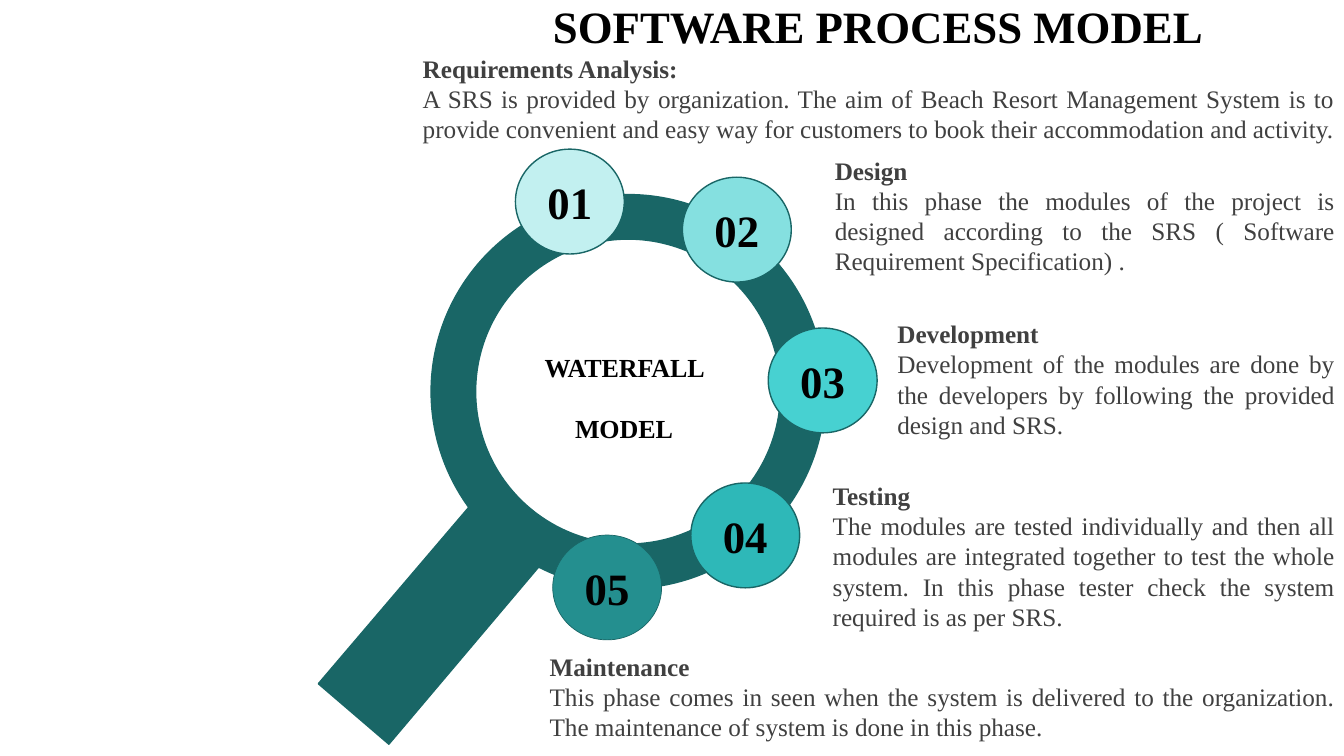
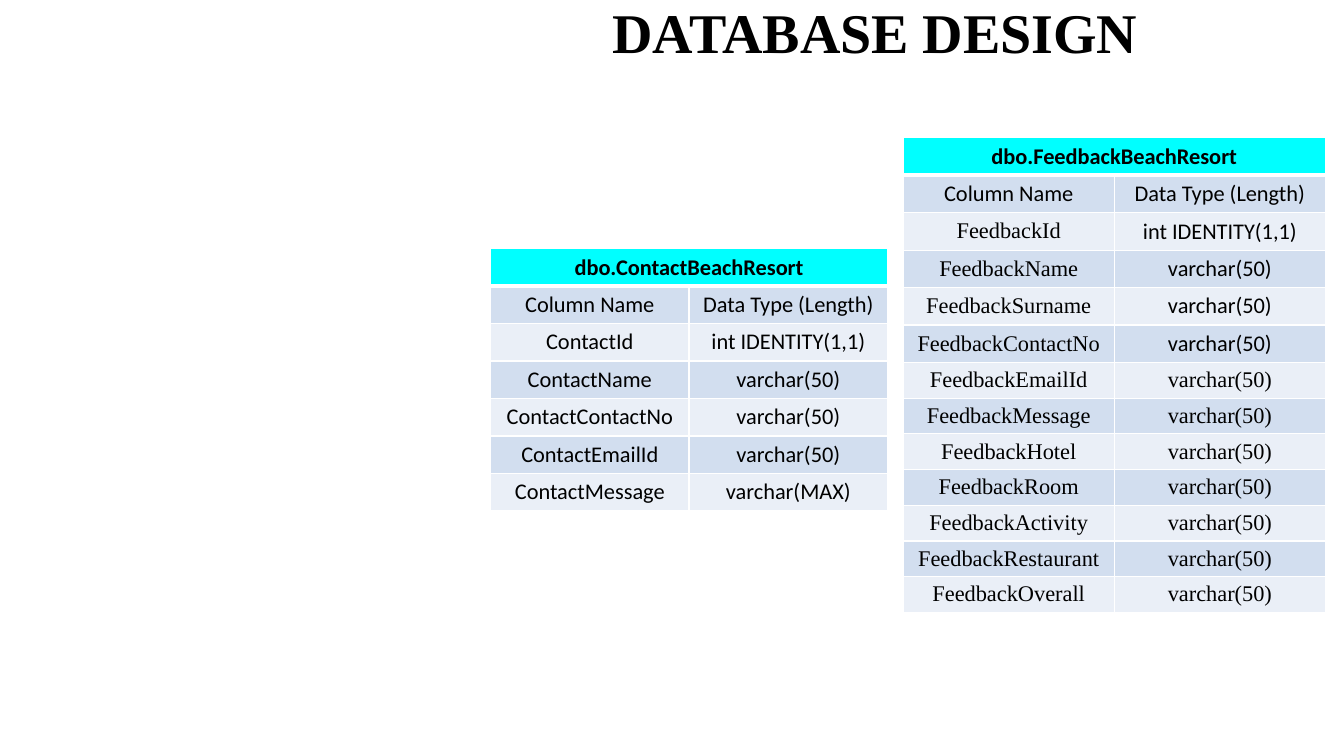
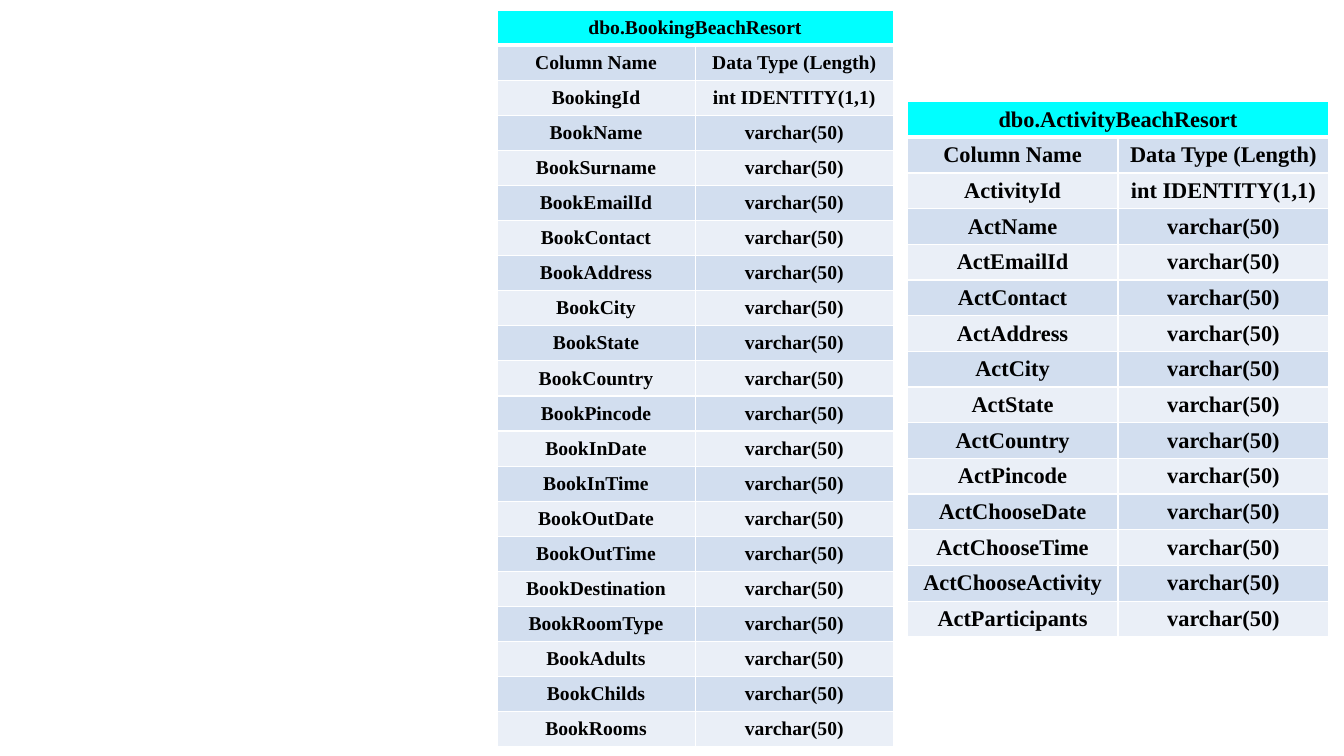
"""Build three slides on a resort system: its process model and its database tables."""
from dataclasses import dataclass
from math import cos, radians, sin

from lxml import etree
from pptx import Presentation
from pptx.dml.color import RGBColor
from pptx.enum.shapes import MSO_SHAPE
from pptx.enum.text import MSO_ANCHOR, MSO_AUTO_SIZE, PP_ALIGN
from pptx.oxml.ns import qn
from pptx.util import Emu, Pt

OVAL = MSO_SHAPE.OVAL
CONNECTOR_CIRCLE = MSO_SHAPE.FLOWCHART_CONNECTOR
MIDDLE = MSO_ANCHOR.MIDDLE
GROW = MSO_AUTO_SIZE.SHAPE_TO_FIT_TEXT
CENTER = PP_ALIGN.CENTER
JUSTIFY = PP_ALIGN.JUSTIFY


@dataclass(frozen=True)
class Theme:
    serif: str = "Times New Roman"
    sans: str = "Calibri"
    ink: str = "000000"
    body: str = "404040"
    teal: str = "196666"
    header: str = "00FFFF"
    bands: tuple = ("EAEFF7", "D2DEEF")
    border: str = "FFFFFF"
    number_size: int = 32
    body_size: int = 18


THEME = Theme()
COLUMNS, ROWS = 160, 90

presentation = Presentation()
presentation.slide_width = Emu(12192000)
presentation.slide_height = Emu(6858000)
COLUMN = presentation.slide_width / COLUMNS
ROW = presentation.slide_height / ROWS


def grid(left, top, width, height):
    """Turn grid columns and rows into slide lengths."""
    return (Emu(round(left * COLUMN)), Emu(round(top * ROW)),
            Emu(round(width * COLUMN)), Emu(round(height * ROW)))


def add_run(paragraph, text, size, bold=True, color=THEME.ink, font=THEME.serif):
    """Add one styled run to a paragraph."""
    run = paragraph.add_run()
    run.text = text
    run.font.name = font
    run.font.size = Pt(size)
    run.font.bold = bold
    run.font.color.rgb = RGBColor.from_string(color)
    return run


slides = [presentation.slides.add_slide(presentation.slide_layouts[6]) for _ in range(3)]
process_slide, design_slide, booking_slide = slides

LENS_X, LENS_Y = 74.78, 46.62
OUTER_RADIUS, INNER_RADIUS = 23.45, 18.15
rim_angles = [144, 180, 270, 360, 450, 477]
hole_angles = [360, 270, 180, 90, 0]
handle = [(46.3 * COLUMN, 88.6 * ROW), (37.9 * COLUMN, 81.4 * ROW)]
rim, hole = ([((LENS_X + radius * cos(radians(angle))) * COLUMN,
               (LENS_Y + radius * sin(radians(angle))) * ROW) for angle in angles]
             for radius, angles in ((OUTER_RADIUS, rim_angles), (INNER_RADIUS, hole_angles)))
builder = process_slide.shapes.build_freeform(*rim[0])
builder.add_line_segments(rim[1:] + handle, close=True)
builder.move_to(*hole[0])
builder.add_line_segments(hole[1:], close=True)
magnifier = builder.convert_to_shape()
magnifier.shadow.inherit = False
magnifier.fill.solid()
magnifier.fill.fore_color.rgb = RGBColor.from_string(THEME.teal)
magnifier.line.color.rgb = RGBColor.from_string(THEME.teal)
magnifier.line.width = Pt(1)

segments = list(magnifier._element.iter(qn("a:lnTo")))
rim_segments, hole_segments = segments[:len(rim) - 1], segments[1 - len(hole):]
for radius, angles, curved in ((OUTER_RADIUS, rim_angles, rim_segments),
                               (INNER_RADIUS, hole_angles, hole_segments)):
    for start, end, segment in zip(angles, angles[1:], curved):
        arc = etree.Element(qn("a:arcTo"), wR=str(round(radius * COLUMN)), hR=str(round(radius * ROW)),
                            stAng=str(start % 360 * 60000), swAng=str((end - start) * 60000))
        segment.getparent().replace(segment, arc)

phase_circles = [
    ("02", 81.24, 21.1, "85E0E0", 1),
    ("01", 61.36, 17.76, "C2F0F0", 1),
    ("04", 82.24, 57.5, "2EB8B8", 1),
    ("03", 91.46, 39.05, "47D1D1", 1),
    ("05", 65.8, 63.7, "248F8F", 0.5),
]
for number, left, top, color, line_width in phase_circles:
    circle = process_slide.shapes.add_shape(OVAL, *grid(left, top, 12.96, 12.48))
    circle.shadow.inherit = False
    circle.fill.solid()
    circle.fill.fore_color.rgb = RGBColor.from_string(color)
    circle.line.color.rgb = RGBColor.from_string(THEME.teal)
    circle.line.width = Pt(line_width)
    circle.text_frame.vertical_anchor = MIDDLE
    paragraph = circle.text_frame.paragraphs[0]
    paragraph.alignment = CENTER
    add_run(paragraph, number, THEME.number_size)

titles = [
    (process_slide, "SOFTWARE PROCESS MODEL", 49.1, 7.4, 32),
    (design_slide, "DATABASE DESIGN", 48.36, 8.4, 40),
]
for slide, text, left, height, size in titles:
    title = slide.shapes.add_textbox(*grid(left, 0, COLUMNS - left, height))
    title.text_frame.word_wrap = True
    paragraph = title.text_frame.paragraphs[0]
    paragraph.alignment = CENTER
    paragraph.line_spacing = 0.9
    add_run(paragraph, text, size)

TEXT_RIGHT = 160.1
phases = [
    ("Requirements Analysis:", 49.15, 5.75, 12.1,
     "A SRS is provided by organization. The aim of Beach Resort Management System is to "
     "provide convenient and easy way for customers to book their accommodation and activity."),
    ("Design", 98.2, 17.86, 15.7,
     "In this phase the modules of the project is designed according to the SRS "
     "( Software Requirement Specification) ."),
    ("Development", 105.65, 37.33, 15.7,
     "Development of the modules are done by the developers by following the provided "
     "design and SRS."),
    ("Testing", 97.95, 56.57, 19.4,
     "The modules are tested individually and then all modules are integrated together to "
     "test the whole system. In this phase tester check the system required is as per SRS."),
    ("Maintenance", 64.25, 76.9, 12.1,
     "This phase comes in seen when the system is delivered to the organization. "
     "The maintenance of system is done in this phase."),
]
for heading, left, top, height, description in phases:
    box = process_slide.shapes.add_textbox(*grid(left, top, TEXT_RIGHT - left, height))
    frame = box.text_frame
    frame.word_wrap = True
    frame.auto_size = GROW
    for paragraph, text, bold in ((frame.paragraphs[0], heading, True),
                                  (frame.add_paragraph(), description, False)):
        paragraph.alignment = JUSTIFY
        add_run(paragraph, text, THEME.body_size, bold, THEME.body)

lens_label = process_slide.shapes.add_shape(CONNECTOR_CIRCLE, *grid(57, 34.75, 34.56, 21.6))
lens_label.shadow.inherit = False
lens_label.fill.background()
lens_label.line.fill.background()
lens_label.text_frame.word_wrap = True
lens_label.text_frame.vertical_anchor = MIDDLE
paragraph = lens_label.text_frame.paragraphs[0]
paragraph.alignment = CENTER
label_run = add_run(paragraph, "WATERFALL MODEL", THEME.number_size)
label_run.font._element.set("baseline", "-25000")

SANS_ROW = 4.46
CELL_MARGIN = Emu(round(0.45 * ROW))
tables = [
    (design_slide, "Contact", 58.4, 29.6, 23.64, 4.25, 16, False, (7, 7),
     ["ContactId", "ContactName", "ContactContactNo", "ContactEmailId", "ContactMessage"]),
    (design_slide, "Feedback", 107.52, 16.4, 25.14, 4.25, 16, False, (2, 6),
     ["FeedbackId", "FeedbackName", "FeedbackSurname", "FeedbackContactNo", "FeedbackEmailId",
      "FeedbackMessage", "FeedbackHotel", "FeedbackRoom", "FeedbackActivity",
      "FeedbackRestaurant", "FeedbackOverall"]),
    (booking_slide, "Booking", 59.16, 1.2, 23.6, 4.18, 14, True, (0, 0),
     ["BookingId", "BookName", "BookSurname", "BookEmailId", "BookContact", "BookAddress",
      "BookCity", "BookState", "BookCountry", "BookPincode", "BookInDate", "BookInTime",
      "BookOutDate", "BookOutTime", "BookDestination", "BookRoomType", "BookAdults",
      "BookChilds", "BookRooms"]),
    (booking_slide, "Activity", 108, 12.1, 25.1, 4.25, 16, True, (0, 0),
     ["ActivityId", "ActName", "ActEmailId", "ActContact", "ActAddress", "ActCity", "ActState",
      "ActCountry", "ActPincode", "ActChooseDate", "ActChooseTime", "ActChooseActivity",
      "ActParticipants"]),
]
special_types = {"ContactMessage": "varchar(MAX)"}
for slide, subject, left, top, column_width, serif_row, size, bold_body, sans_rows, fields in tables:
    records = [(f"dbo.{subject}BeachResort", ""), ("Column Name", "Data Type (Length)"),
               (fields[0], "int IDENTITY(1,1)")]
    records += [(field, special_types.get(field, "varchar(50)")) for field in fields[1:]]
    heights = [SANS_ROW if row < max(sans_rows) else serif_row for row in range(len(records))]
    area = grid(left, top, 2 * column_width, sum(heights))
    table = slide.shapes.add_table(len(records), 2, *area).table
    table.first_row = False
    table.horz_banding = False
    table.cell(0, 0).merge(table.cell(0, 1))
    for row, record in enumerate(records):
        table.rows[row].height = Emu(round(heights[row] * ROW))
        for column, text in enumerate(record):
            cell = table.cell(row, column)
            cell.vertical_anchor = MIDDLE
            cell.margin_top = cell.margin_bottom = CELL_MARGIN
            properties = cell._tc.get_or_add_tcPr()
            for side in "LRTB":
                thick = (row, side) in ((0, "B"), (1, "T"))
                border = etree.SubElement(properties, qn(f"a:ln{side}"), w=str(Pt(3 if thick else 1)))
                fill = etree.SubElement(border, qn("a:solidFill"))
                etree.SubElement(fill, qn("a:srgbClr"), val=THEME.border)
            cell.fill.solid()
            cell.fill.fore_color.rgb = RGBColor.from_string(THEME.bands[row % 2] if row else THEME.header)
            if text:
                paragraph = cell.text_frame.paragraphs[0]
                paragraph.alignment = CENTER
                font = THEME.sans if row < sans_rows[column] else THEME.serif
                add_run(paragraph, text, size, bold_body or row == 0, font=font)

presentation.save("out.pptx")
